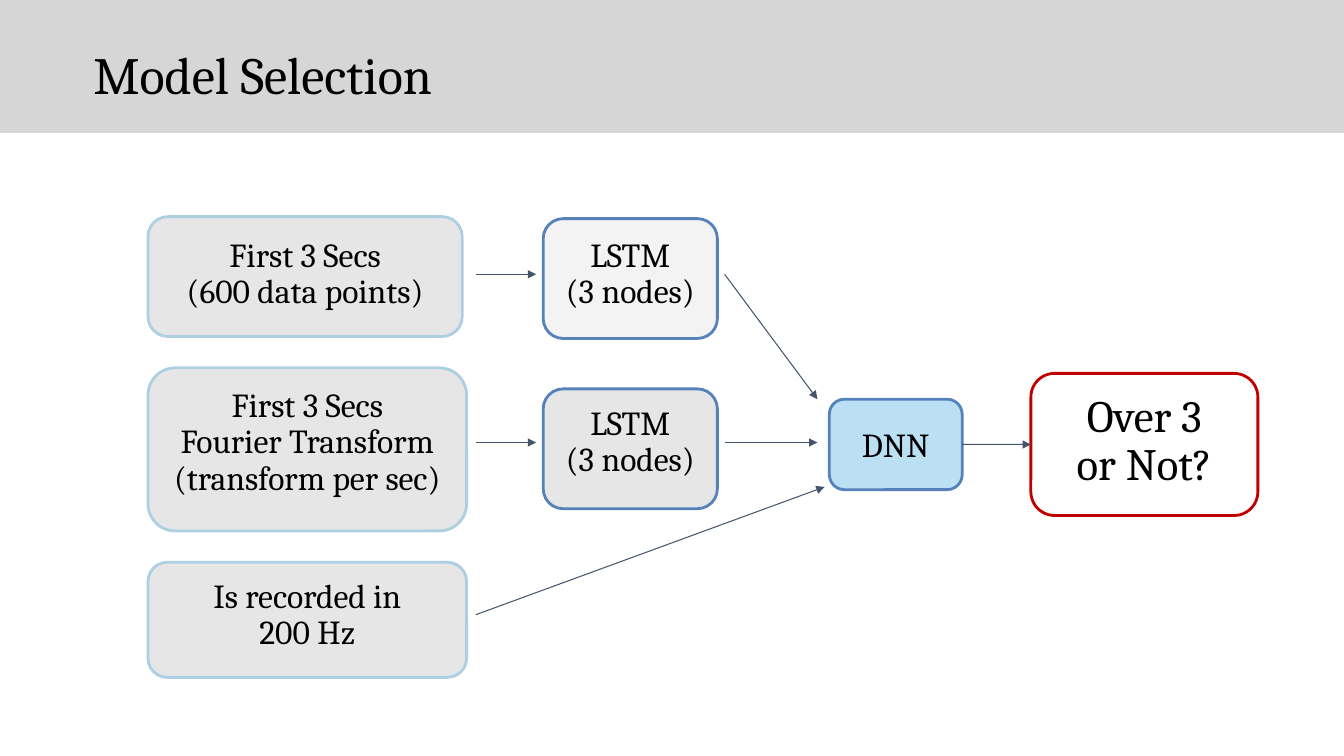
from dataclasses import dataclass

from lxml import etree
from pptx import Presentation
from pptx.dml.color import RGBColor
from pptx.enum.shapes import MSO_CONNECTOR, MSO_SHAPE
from pptx.enum.text import MSO_ANCHOR, PP_ALIGN
from pptx.oxml.ns import qn
from pptx.util import Cm, Pt

RECTANGLE = MSO_SHAPE.RECTANGLE
ROUNDED = MSO_SHAPE.ROUNDED_RECTANGLE
STRAIGHT = MSO_CONNECTOR.STRAIGHT
MIDDLE, TOP = MSO_ANCHOR.MIDDLE, MSO_ANCHOR.TOP
LEFT, CENTER = PP_ALIGN.LEFT, PP_ALIGN.CENTER
LEFT_SIDE, RIGHT_SIDE = 1, 3


@dataclass(frozen=True)
class Theme:
    font: str = "Cambria"
    title_size: float = 37.3
    body_size: float = 24
    outcome_size: float = 32
    line_spacing: float = 0.9
    text: str = "000000"
    band: str = "D6D6D6"
    grey: str = "E7E6E6"
    pale_grey: str = "F2F2F2"
    sky: str = "B4DCF2"
    input_line: str = "ADCFE2"
    model_line: str = "5781BA"
    outcome_line: str = "C00000"
    arrow: str = "44546A"
    box_line_width: float = 2
    arrow_width: float = 0.75


THEME = Theme()


def color(code):
    return RGBColor.from_string(code)


def write_lines(frame, lines, size, alignment, anchor):
    """Fill a text frame with one paragraph per line."""
    frame.word_wrap = True
    frame.vertical_anchor = anchor
    for index, line in enumerate(lines):
        para = frame.paragraphs[0] if index == 0 else frame.add_paragraph()
        para.alignment = alignment
        para.line_spacing = THEME.line_spacing
        span = para.add_run()
        span.text = line
        span.font.name = THEME.font
        span.font.size = Pt(size)
        span.font.color.rgb = color(THEME.text)


def add_box(page, place, lines, line_color, fill=None, alpha=None,
            size=THEME.body_size, lift=0):
    """Add a rounded box; lift raises its text above the middle, in cm."""
    box = page.shapes.add_shape(ROUNDED, *map(Cm, place))
    box.shadow.inherit = False
    if fill:
        box.fill.solid()
        box.fill.fore_color.rgb = color(fill)
    else:
        box.fill.background()
    if alpha:
        tint = box.fill._xPr.find(".//" + qn("a:srgbClr"))
        etree.SubElement(tint, qn("a:alpha"), val=str(alpha * 1000))
    box.line.color.rgb = color(line_color)
    box.line.width = Pt(THEME.box_line_width)
    frame = box.text_frame
    frame.margin_left = frame.margin_right = 0
    frame.margin_top = Cm(max(0, -2 * lift))
    frame.margin_bottom = Cm(max(0, 2 * lift))
    write_lines(frame, lines, size, CENTER, MIDDLE)
    return box


def add_arrow(page, start=(0, 0), end=(0, 0)):
    arrow = page.shapes.add_connector(STRAIGHT, *map(Cm, start + end))
    arrow.line.color.rgb = color(THEME.arrow)
    arrow.line.width = Pt(THEME.arrow_width)
    etree.SubElement(arrow.line._get_or_add_ln(), qn("a:tailEnd"), type="triangle")
    etree.SubElement(arrow._element.spPr, qn("a:effectLst"))
    return arrow


def build_header(page, width, height):
    band = page.shapes.add_shape(RECTANGLE, 0, 0, width, height)
    band.shadow.inherit = False
    band.fill.solid()
    band.fill.fore_color.rgb = color(THEME.band)
    band.line.fill.background()
    title = page.shapes.title
    title._element.addprevious(band._element)
    title.left, title.top = Cm(2.01), Cm(0.91)
    title.width, title.height = width - Cm(3.16), Cm(2.13)
    frame = title.text_frame
    frame.margin_left = frame.margin_right = Cm(0.34)
    frame.margin_top = frame.margin_bottom = Cm(0.34)
    write_lines(frame, ["Model Selection"], THEME.title_size, LEFT, TOP)


def build_inputs(page, left):
    inputs = [
        (5.46, 7.92, 3.02, 0.05, ["First 3 Secs", "(600 data points)"]),
        (9.27, 8.03, 4.11, 0.16,
         ["First 3 Secs", "Fourier Transform", "(transform per sec)"]),
        (14.17, 8.03, 2.9, 0.11, ["Is recorded in", "200 Hz"]),
    ]
    for top, width, height, lift, lines in inputs:
        add_box(page, (left, top, width, height), lines, THEME.input_line,
                THEME.grey, lift=lift)


def build_recurrent_models(page, left):
    for top, fill, alpha, lift in [(5.51, THEME.pale_grey, 90, 0.1),
                                   (9.8, THEME.grey, None, 0.15)]:
        add_box(page, (left, top, 4.39, 3.02), ["LSTM", "(3 nodes)"],
                THEME.model_line, fill, alpha, lift=lift)


def build_decision(page, left, middle):
    """Add the DNN and the outcome, centred on one line and joined."""
    network = add_box(page, (left, middle - 1.14, 3.35, 2.28), ["DNN"],
                      THEME.model_line, THEME.sky, 90, lift=-0.06)
    outcome = add_box(page, (left + 5.08, middle - 1.79, 5.72, 3.58),
                      ["Over 3", "or Not?"], THEME.outcome_line,
                      size=THEME.outcome_size, lift=0.06)
    link = add_arrow(page)
    link.begin_connect(network, RIGHT_SIDE)
    link.end_connect(outcome, LEFT_SIDE)


def build_flow_arrows(page):
    input_edge, model_edge, network_edge = 11.99, 18.26, 20.6
    upper, lower = 6.91, 11.15
    for row in (upper, lower):
        add_arrow(page, (input_edge, row), (13.51, row))
    add_arrow(page, (model_edge, upper), (network_edge, 10.06))
    add_arrow(page, (model_edge, lower), (network_edge, lower))
    add_arrow(page, (input_edge, 15.49), (20.78, 12.27))


def main():
    deck = Presentation()
    deck.slide_width, deck.slide_height = Cm(33.87), Cm(19.05)
    page = deck.slides.add_slide(deck.slide_layouts.get_by_name("Title Only"))
    build_header(page, deck.slide_width, Cm(3.35))
    build_inputs(page, left=3.73)
    build_recurrent_models(page, left=13.69)
    build_decision(page, left=20.9, middle=11.2)
    build_flow_arrows(page)
    deck.save("out.pptx")


if __name__ == "__main__":
    main()
